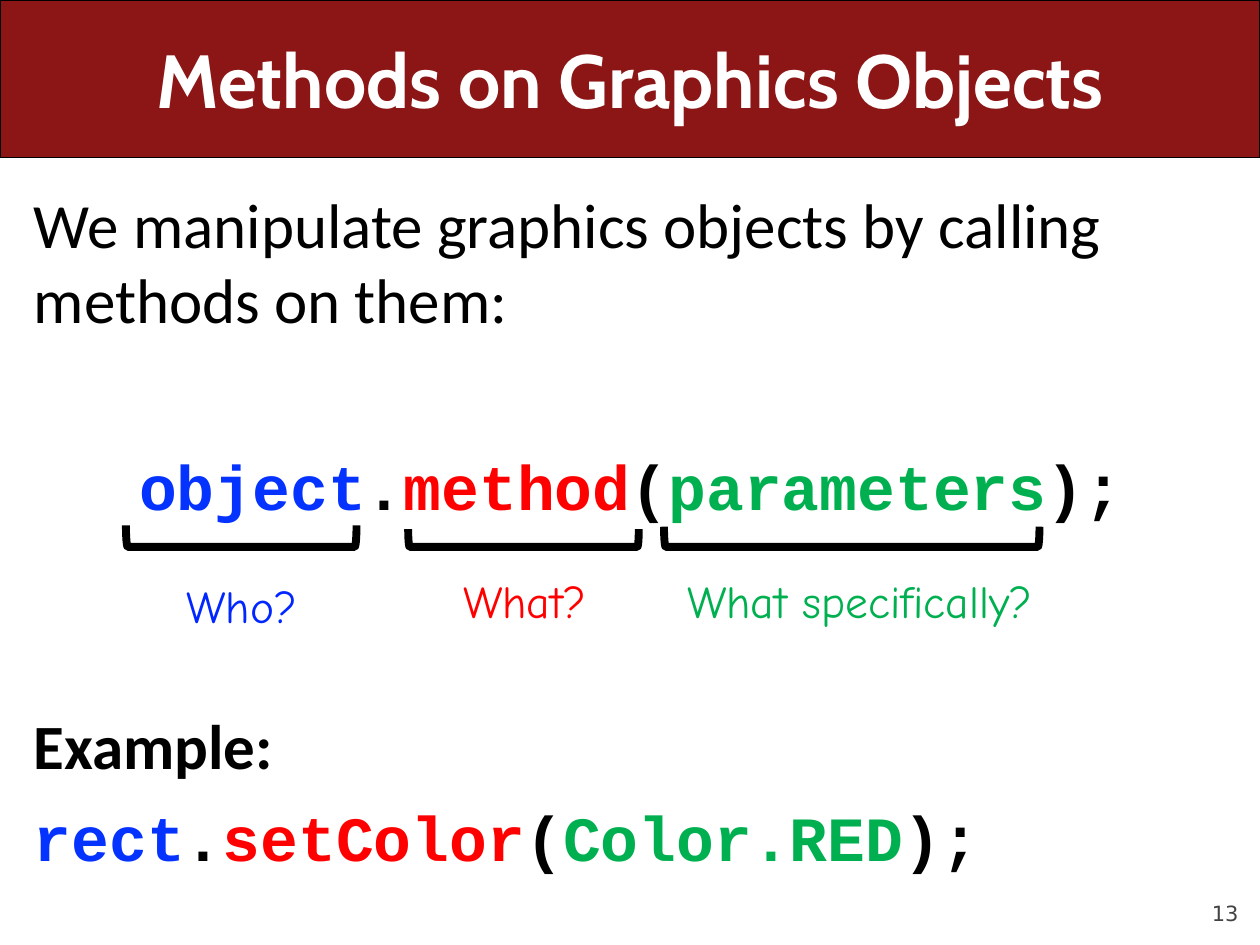
from lxml.etree import SubElement
from pptx import Presentation
from pptx.dml.color import RGBColor
from pptx.enum.shapes import MSO_SHAPE
from pptx.enum.text import MSO_ANCHOR, MSO_AUTO_SIZE, PP_ALIGN
from pptx.oxml.ns import qn
from pptx.util import Inches, Pt

CARDINAL = RGBColor(0x8C, 0x15, 0x15)
WHITE = RGBColor(0xFF, 0xFF, 0xFF)
BLACK = RGBColor(0, 0, 0)
GRAY = RGBColor(0x42, 0x42, 0x42)
BLUE = RGBColor(0x04, 0x32, 0xFF)
LABEL_BLUE = RGBColor(0x00, 0x27, 0xFF)
RED = RGBColor(0xFF, 0, 0)
GREEN = RGBColor(0x00, 0xB0, 0x50)

TITLE = {"name": "Cabin", "size": Pt(43), "bold": True}
PROSE = {"name": "Calibri", "size": Pt(36)}
HEADING = {**PROSE, "bold": True}
CODE = {"name": "Courier New", "size": Pt(36), "bold": True}
LABEL = {"name": "Comic Neue", "size": Pt(26)}
NUMBER = {"name": "DejaVu Sans", "size": Pt(12)}


def add_run(paragraph, text, style, color):
    run = paragraph.add_run()
    run.text = text
    for attribute, value in style.items():
        setattr(run.font, attribute, value)
    run.font.color.rgb = color


def add_text(slide, box, lines, align=PP_ALIGN.LEFT, gap=Pt(9)):
    """Place lines in a box; each line is a list of (text, style, color)."""
    frame = slide.shapes.add_textbox(*map(Inches, box)).text_frame
    frame.word_wrap = True
    for index, line in enumerate(lines):
        paragraph = frame.add_paragraph() if index else frame.paragraphs[0]
        paragraph.alignment = align
        if index:
            paragraph.space_before = gap
        for part in line:
            add_run(paragraph, *part)
    return frame


def method_call(receiver, method, arguments):
    parts = [(receiver, BLUE), (".", BLACK), (method, RED),
             ("(", BLACK), (arguments, GREEN), (");", BLACK)]
    return [(text, CODE, color) for text, color in parts]


def add_header(slide, left, top, width, height):
    banner = slide.shapes.add_shape(
        MSO_SHAPE.RECTANGLE, *map(Inches, (left, top, width, height)))
    banner.shadow.inherit = False
    banner.fill.solid()
    banner.fill.fore_color.rgb = CARDINAL
    banner.line.color.rgb = BLACK
    banner.line.width = Pt(0.75)

    title = slide.shapes.title
    title.element.addprevious(banner.element)  # banner goes behind the title
    margin = 0.5
    title.left, title.top = Inches(left + margin), Inches(top)
    title.width, title.height = Inches(width - 2 * margin), Inches(height)
    frame = title.text_frame
    frame.auto_size = MSO_AUTO_SIZE.NONE
    frame.vertical_anchor = MSO_ANCHOR.MIDDLE
    frame.paragraphs[0].alignment = PP_ALIGN.CENTER
    add_run(frame.paragraphs[0], "Methods on Graphics Objects", TITLE, WHITE)


def add_bracket(slide, left, bottom, width, depth):
    """Draw a bracket that opens upwards, as a left bracket turned by 270°."""
    center_x, center_y = left + width / 2, bottom - depth / 2
    bracket = slide.shapes.add_shape(
        MSO_SHAPE.LEFT_BRACKET, Inches(center_x - depth / 2),
        Inches(center_y - width / 2), Inches(depth), Inches(width))
    bracket.rotation = 270
    bracket.shadow.inherit = False
    bracket.fill.background()
    bracket.line.color.rgb = BLACK
    bracket.line.width = Pt(4.5)


def add_call_pattern(slide, left, top, width):
    # Code line
    add_text(slide, (left, top, width, 0.67),
             [method_call("object", "method", "parameters")], PP_ALIGN.CENTER)

    # Brackets (left, width, depth) and the questions below (left, top, width)
    questions = [
        ("Who?", LABEL_BLUE, (0.83, 1.83, 0.17), (0.59, 1.04, 2.32)),
        ("What?", RED, (3.07, 1.83, 0.14), (3.25, 1.0, 1.49)),
        ("What specifically?", GREEN, (5.1, 2.98, 0.16), (4.91, 1.0, 3.49)),
    ]
    for question, color, (x, span, depth), (label_x, label_y, label_w) in questions:
        add_bracket(slide, left + x, top + 0.84, span, depth)
        add_text(slide, (left + label_x, top + label_y, label_w, 0.54),
                 [[(question, LABEL, color)]], PP_ALIGN.CENTER)


def add_page_number(slide, box, number):
    frame = add_text(slide, box, [[(number, NUMBER, GRAY)]], PP_ALIGN.RIGHT)
    frame.vertical_anchor = MSO_ANCHOR.BOTTOM
    for side in ("left", "top", "right", "bottom"):
        setattr(frame, f"margin_{side}", 0)


def main():
    deck = Presentation()
    deck.slide_width, deck.slide_height = Inches(10), Inches(7.5)
    slide = deck.slides.add_slide(deck.slide_layouts.get_by_name("Title Only"))
    body_left, body_width = 0.17, 9.67

    add_header(slide, 0, 0, 10, 1.25)
    intro = "We manipulate graphics objects by calling methods on them:"
    add_text(slide, (body_left, 1.42, body_width, 1.32),
             [[(intro, PROSE, BLACK)]])
    add_call_pattern(slide, body_left, 3.5, body_width)
    add_text(slide, (body_left, 5.56, body_width, 1.4),
             [[("Example:", HEADING, BLACK)],
              method_call("rect", "setColor", "Color.RED")])
    add_page_number(slide, (9, 6.95, 0.83, 0.4), "13")
    deck.save("out.pptx")


if __name__ == "__main__":
    main()
